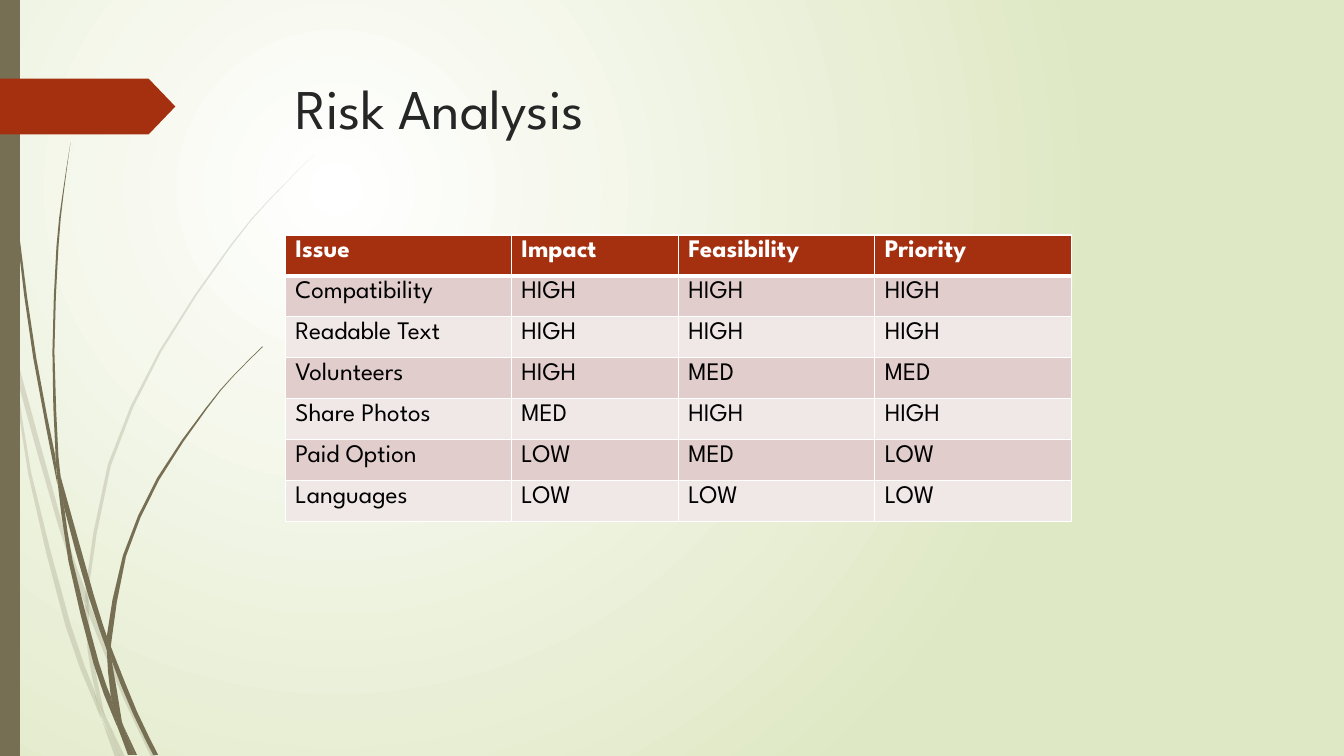
from dataclasses import dataclass

from lxml.etree import SubElement
from pptx import Presentation
from pptx.dml.color import RGBColor
from pptx.enum.shapes import MSO_SHAPE
from pptx.enum.text import MSO_ANCHOR
from pptx.oxml.ns import qn
from pptx.util import Cm, Pt


@dataclass(frozen=True)
class Theme:
    font: str = "League Spartan"
    title_size: int = 40
    table_size: int = 18
    title: str = "262626"
    text: str = "000000"
    white: str = "FFFFFF"
    accent: str = "A53010"
    stem: str = "766F54"
    backdrop: str = "DFE8C4"
    bands: tuple = ("E1CDCC", "F0E8E7")
    rule: float = 1
    header_rule: float = 3


THEME = Theme()
GRID = Cm(2.54) / 100  # one step of the grass grid

# Grass pieces: the two edges of each, one there and one back, in grid steps
FAINT_GRASS = [
    ([(11, 350), (9, 322), (0, 282)], [(0, 299), (10, 344), (11, 350)]),
    ([(14, 345), (17, 376), (58, 522), (84, 599)], [(85, 586), (62, 520), (14, 345)]),
    ([(88, 596), (88, 610), (123, 694), (150, 751)],
     [(155, 751), (127, 692), (92, 607), (88, 596)]),
    ([(105, 711), (119, 751)], [(124, 751), (105, 711)]),
    ([(11, 350), (28, 470), (65, 621), (92, 693), (101, 714)],
     [(93, 683), (70, 619), (31, 469), (17, 376), (11, 350)]),
    ([(84, 599), (87, 646), (96, 692), (105, 711)],
     [(103, 706), (91, 646), (88, 608), (84, 599)]),
    ([(312, 153), (268, 197), (228, 244), (158, 348), (107, 461), (85, 584), (88, 596)],
     [(88, 584), (110, 462), (160, 349), (229, 245), (268, 198), (312, 153)]),
    ([(101, 714), (114, 751)], [(119, 751), (101, 714)]),
    ([(85, 586), (84, 599), (88, 610)], [(88, 596), (85, 586)]),
    ([(93, 683), (99, 707), (119, 751)], [(105, 711), (96, 692), (93, 683)]),
]
SOLID_GRASS = [
    ([(3, 0), (4, 48), (7, 110), (17, 233), (33, 355), (57, 481)],
     [(55, 453), (36, 355), (19, 232), (8, 109), (5, 48), (4, 0)]),
    ([(60, 472), (64, 505), (88, 592), (106, 645)], [(106, 631), (93, 590), (60, 472)]),
    ([(110, 641), (111, 656), (132, 708), (152, 749)],
     [(157, 749), (136, 706), (113, 649), (110, 641)]),
    ([(57, 477), (68, 557), (93, 659), (111, 708), (117, 722)],
     [(110, 691), (98, 657), (72, 556), (64, 505), (57, 477)]),
    ([(70, 141), (62, 193), (56, 245), (52, 349), (55, 449), (60, 472)],
     [(58, 453), (54, 349), (58, 245), (63, 193), (70, 141)]),
    ([(122, 719), (133, 749)], [(136, 749), (122, 719)]),
    ([(55, 449), (57, 477), (64, 505)], [(60, 472), (55, 449)]),
    ([(260, 344), (231, 373), (204, 405), (156, 474), (122, 551), (106, 631), (110, 641)],
     [(111, 633), (125, 552), (158, 476), (205, 406), (231, 374), (261, 344)]),
    ([(117, 722), (127, 749)], [(131, 749), (117, 722)]),
    ([(106, 645), (110, 691), (122, 719)], [(121, 716), (111, 656), (106, 645)]),
    ([(106, 631), (106, 645), (111, 656)], [(110, 641), (106, 631)]),
    ([(110, 691), (117, 722), (130, 749)], [(133, 749), (122, 719), (110, 691)]),
]

RISKS = [
    ("Issue", "Impact", "Feasibility", "Priority"),
    ("Compatibility", "HIGH", "HIGH", "HIGH"),
    ("Readable Text", "HIGH", "HIGH", "HIGH"),
    ("Volunteers", "HIGH", "MED", "MED"),
    ("Share Photos", "MED", "HIGH", "HIGH"),
    ("Paid Option", "LOW", "MED", "LOW"),
    ("Languages", "LOW", "LOW", "LOW"),
]
COLUMN_SHARES = (0.2874, 0.2126, 0.25, 0.25)


def rgb(color):
    return RGBColor.from_string(color)


def paint(shape, color, opacity=100):
    shape.shadow.inherit = False
    shape.line.fill.background()
    shape.fill.solid()
    shape.fill.fore_color.rgb = rgb(color)
    if opacity < 100:
        solid = shape.fill._xPr.find(qn("a:solidFill"))
        SubElement(solid[0], qn("a:alpha"), val=str(opacity * 1000))


def write(frame, text, size, color, bold=False):
    run = frame.paragraphs[0].add_run()
    run.text = text
    run.font.name, run.font.size, run.font.bold = THEME.font, Pt(size), bold
    run.font.color.rgb = rgb(color)


def smooth(edge):
    """Add a Catmull-Rom midpoint between neighbours of a curved edge."""
    if len(edge) < 3:
        return edge
    padded = [edge[0], *edge, edge[-1]]
    curve = [edge[0]]
    for a, b, c, d in zip(padded, padded[1:], padded[2:], padded[3:]):
        middle = tuple((9 * (q + r) - p - s) / 16 for p, q, r, s in zip(a, b, c, d))
        curve += [middle, c]
    return curve


def add_backdrop(slide):
    fill = slide.background.fill
    fill.gradient()
    for stop, color in zip(fill.gradient_stops, (THEME.white, THEME.backdrop)):
        stop.color.rgb = rgb(color)
    gradient = slide.background._cSld.find(".//" + qn("a:gradFill"))
    linear = gradient.find(qn("a:lin"))
    circle = SubElement(gradient, qn("a:path"), path="circle")
    SubElement(circle, qn("a:fillToRect"), l="50000", t="50000", r="100000", b="100000")
    gradient.replace(linear, circle)


def add_grass(slide, left, top, pieces, opacity):
    clump = slide.shapes.add_group_shape()
    for there, back in pieces:
        outline = [(round(left + x * GRID), round(top + y * GRID))
                   for x, y in smooth(there) + smooth(back)]
        builder = clump.shapes.build_freeform(*outline[0], scale=1.0)
        builder.add_line_segments(outline[1:], close=True)
        paint(builder.convert_to_shape(), THEME.stem, opacity)


def add_margin(slide, left, top, height):
    # Side bar
    bar = slide.shapes.add_shape(MSO_SHAPE.RECTANGLE, left, top, Cm(0.5), height)
    paint(bar, THEME.stem)
    # Pointed tag
    tag = slide.shapes.add_shape(
        MSO_SHAPE.PENTAGON, left, top + Cm(1.98), Cm(4.42), Cm(1.41))
    tag.adjustments[0] = 0.48
    paint(tag, THEME.accent)


def add_title(slide, left, top, width, height):
    frame = slide.shapes.add_textbox(left, top, width, height).text_frame
    frame.word_wrap = True
    frame.vertical_anchor = MSO_ANCHOR.TOP
    write(frame, "Risk Analysis", THEME.title_size, THEME.title)


def add_border(cell, side, points):
    properties = cell._tc.get_or_add_tcPr()
    line = SubElement(properties, qn("a:" + side), w=str(Pt(points)))
    SubElement(SubElement(line, qn("a:solidFill")), qn("a:srgbClr"), val=THEME.white)


def add_risks(slide, left, top, width, height):
    table = slide.shapes.add_table(
        len(RISKS), len(COLUMN_SHARES), left, top, width, height).table
    for column, share in zip(table.columns, COLUMN_SHARES):
        column.width = round(width * share)
    for r, risk in enumerate(RISKS):
        header = r == 0
        for c, entry in enumerate(risk):
            cell = table.cell(r, c)
            write(cell.text_frame, entry, THEME.table_size,
                  THEME.white if header else THEME.text, header)
            # Borders precede the fill in the cell properties
            for side in ("lnL", "lnR", "lnT", "lnB"):
                thick = (side == "lnB" and header) or (side == "lnT" and r == 1)
                add_border(cell, side, THEME.header_rule if thick else THEME.rule)
            cell.fill.solid()
            cell.fill.fore_color.rgb = rgb(
                THEME.accent if header else THEME.bands[(r - 1) % 2])


def build_risk_slide(deck):
    slide = deck.slides.add_slide(deck.slide_layouts[6])
    add_backdrop(slide)
    add_grass(slide, 0, 0, FAINT_GRASS, opacity=20)
    add_grass(slide, 0, 0, SOLID_GRASS, opacity=100)
    add_margin(slide, 0, 0, deck.slide_height)
    add_title(slide, Cm(7.2), Cm(1.73), Cm(24.77), Cm(3.56))
    add_risks(slide, Cm(7.19), Cm(5.92), Cm(19.81), Cm(7.22))


deck = Presentation()
deck.slide_width, deck.slide_height = Cm(33.87), Cm(19.05)
build_risk_slide(deck)
deck.save("out.pptx")
